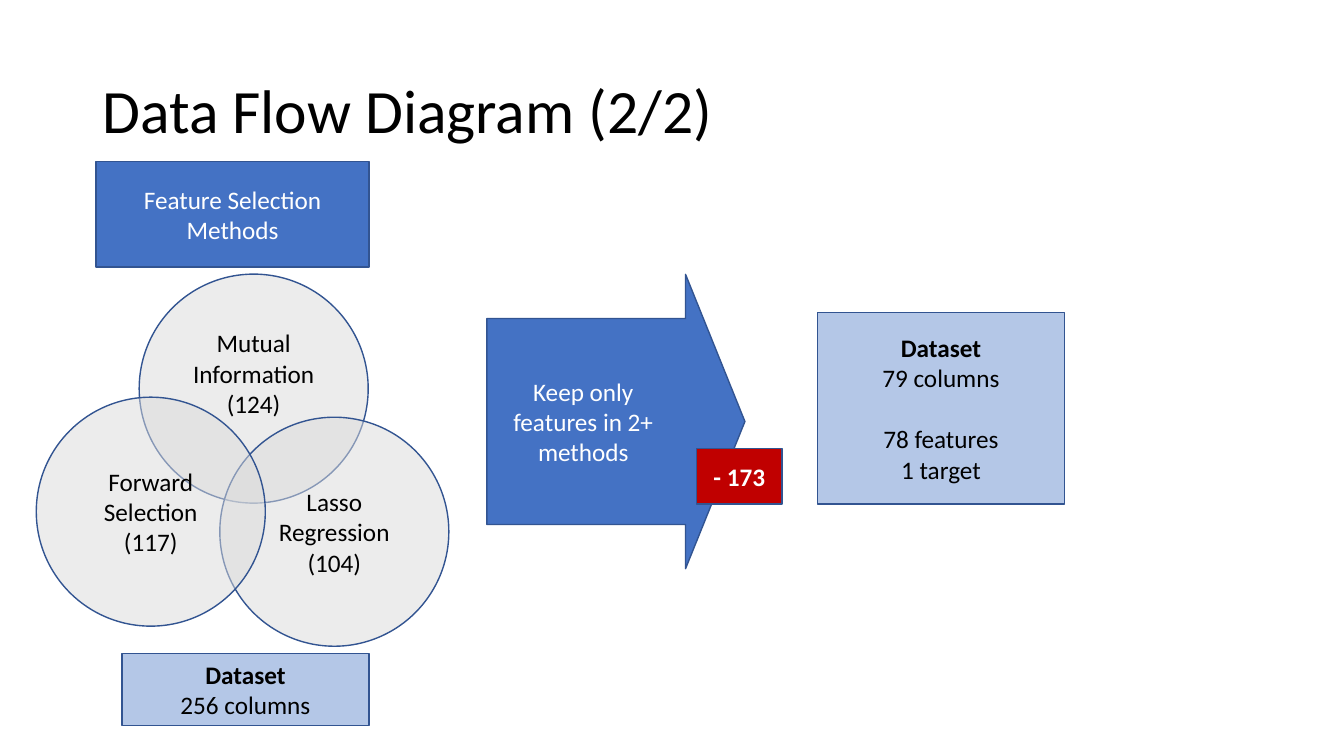
import pptx
import pptx.util
import pptx.dml.color
import pptx.enum.shapes
import pptx.enum.text
import pptx.oxml
import pptx.oxml.ns

Pt = pptx.util.Pt
Kind = pptx.enum.shapes.MSO_SHAPE
Align = pptx.enum.text.PP_ALIGN
Anchor = pptx.enum.text.MSO_ANCHOR

FONT = "Calibri"
BLACK, WHITE, EDGE = "000000", "FFFFFF", "325491"
BLUE, PALE, GREY, RED = "4472C4", "B4C7E7", "DBDBDB", "C00000"
GAP = 22

title = ("Data Flow Diagram (2/2)", (66, 28.8, 828, 104.4))
header = ("Feature Selection Methods", (68.6, 115.2, 195.1, 75.6))
size = 163.6
circles = [
    ("Mutual Information (124)", 99.4, 195.8, GAP),
    ("Lasso Regression (104)", 157, 298, 0),
    ("Forward Selection (117)", 25.9, 283.7, 0),
]
before = (["256 columns"], (87.1, 466.6, 176.4, 51.8))
filter_step = ("Keep only features in 2+ methods", (347.8, 196, 184.3, 210.2))
removed = ("- 173", (497.5, 320.4, 61.2, 39.6))
after = (["79 columns", "78 features", "1 target"], (583.9, 223.2, 176.4, 136.8))


def color(code):
    return pptx.dml.color.RGBColor.from_string(code)


def write(para, text, ink, points=18, bold=False):
    run = para.add_run()
    run.text = text
    run.font.name = FONT
    run.font.size = Pt(points)
    run.font.bold = bold
    run.font.color.rgb = color(ink)


def draw(kind, box, fill, lines, ink, bold=False):
    shape = slide.shapes.add_shape(kind, *map(Pt, box))
    shape.shadow.inherit = False
    shape.fill.solid()
    shape.fill.fore_color.rgb = color(fill)
    shape.line.color.rgb = color(EDGE)
    shape.line.width = Pt(1)
    frame = shape.text_frame
    frame.word_wrap = True
    frame.vertical_anchor = Anchor.MIDDLE
    for i, text in enumerate(lines):
        para = frame.add_paragraph() if i else frame.paragraphs[0]
        para.alignment = Align.CENTER
        write(para, text, ink, bold=bold and i == 0)
    return shape


def dataset(facts, box):
    return draw(Kind.RECTANGLE, box, PALE, ["Dataset"] + facts, BLACK, True)


def fade(shape, percent):
    tint = shape.fill._xPr.find(".//" + pptx.oxml.ns.qn("a:srgbClr"))
    alpha = pptx.oxml.parse_xml(
        f'<a:alpha {pptx.oxml.ns.nsdecls("a")} val="{percent * 1000}"/>')
    tint.append(alpha)


deck = pptx.Presentation()
deck.slide_width, deck.slide_height = Pt(960), Pt(540)
slide = deck.slides.add_slide(deck.slide_layouts[5])

text, box = title
head = slide.shapes.title
head.left, head.top, head.width, head.height = map(Pt, box)
head.text_frame.word_wrap = True
head.text_frame.vertical_anchor = Anchor.MIDDLE
para = head.text_frame.paragraphs[0]
para.alignment = Align.LEFT
para.line_spacing = 0.9
write(para, text, BLACK, 44)

text, box = header
draw(Kind.RECTANGLE, box, BLUE, [text], WHITE)

for text, left, top, lift in circles:
    circle = draw(Kind.OVAL, (left, top, size, size), GREY, [text], BLACK)
    circle.text_frame.margin_bottom = Pt(3.6 + lift)
    fade(circle, 50)

dataset(*before)

text, box = filter_step
arrow = draw(Kind.RIGHT_ARROW, box, BLUE, [text], WHITE)
arrow.adjustments[0], arrow.adjustments[1] = 0.7, 0.23
arrow.text_frame.margin_right = Pt(24)

text, box = removed
draw(Kind.RECTANGLE, box, RED, [text], WHITE, True)

result = dataset(*after)
result.text_frame.paragraphs[2].space_before = Pt(GAP)

deck.save("out.pptx")
